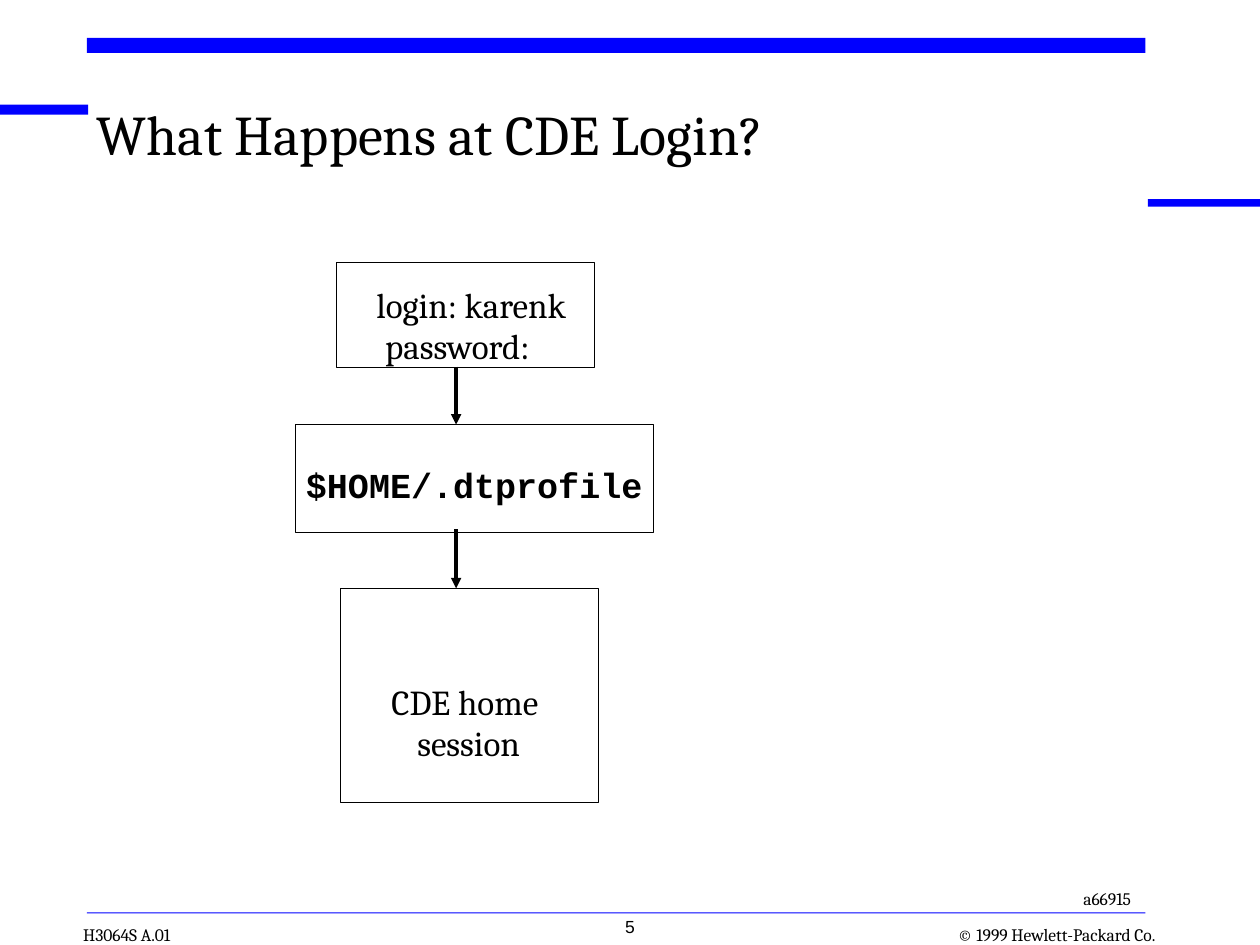
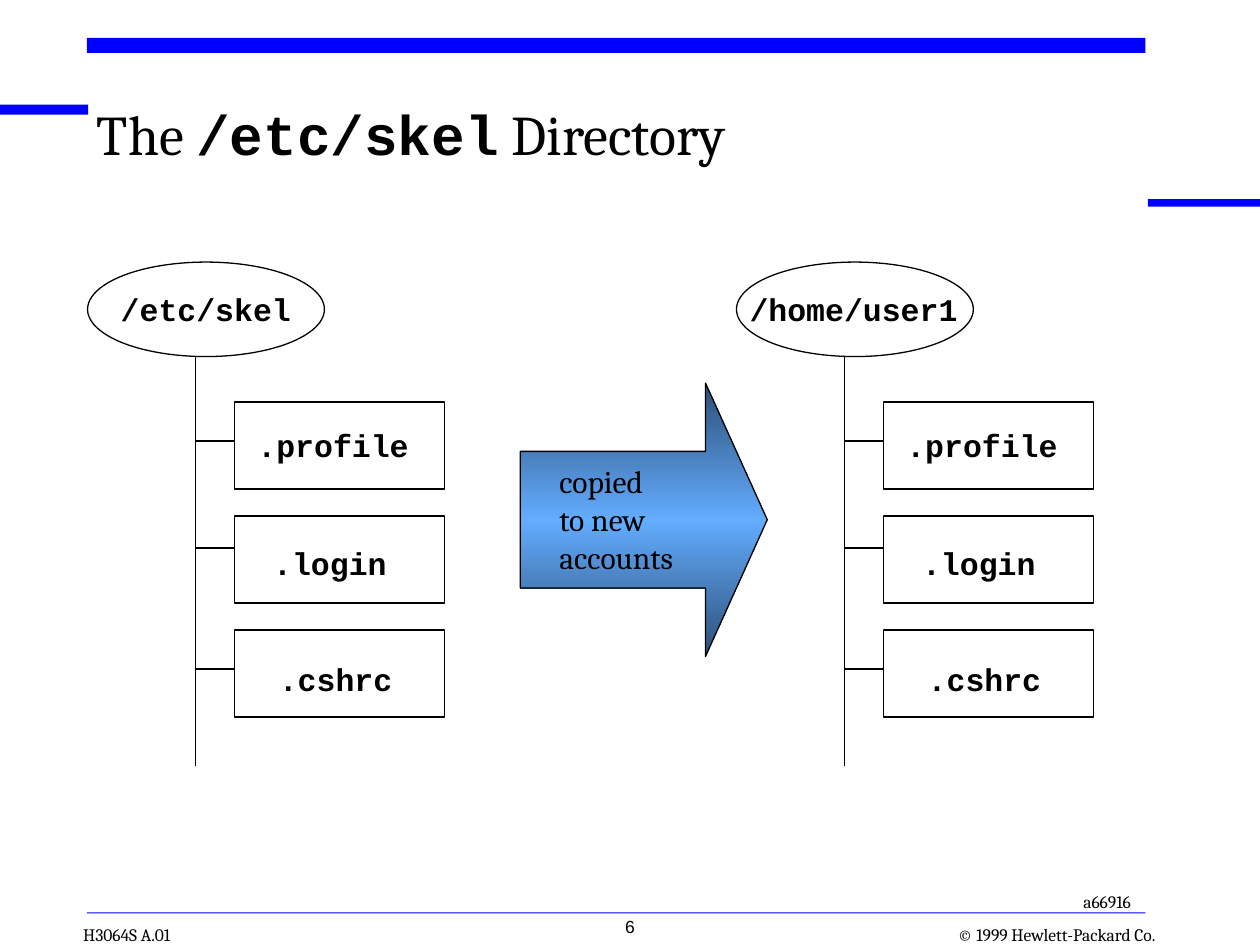
from copy import deepcopy

from lxml import etree
from pptx import Presentation
from pptx.dml.color import RGBColor
from pptx.enum.shapes import MSO_CONNECTOR, MSO_SHAPE
from pptx.enum.text import MSO_ANCHOR, PP_ALIGN
from pptx.oxml.ns import qn
from pptx.util import Inches, Pt

RECT, OVAL, ARROW = MSO_SHAPE.RECTANGLE, MSO_SHAPE.OVAL, MSO_SHAPE.RIGHT_ARROW
STRAIGHT = MSO_CONNECTOR.STRAIGHT
LEFT, CENTER, RIGHT = PP_ALIGN.LEFT, PP_ALIGN.CENTER, PP_ALIGN.RIGHT
TOP, BOTTOM = MSO_ANCHOR.TOP, MSO_ANCHOR.BOTTOM

# Grid of 100 columns by 75 rows
WIDTH, HEIGHT = Inches(10), Inches(7.5)
COL, ROW = WIDTH / 100, HEIGHT / 75

BLACK, BLUE = "000000", "0000FF"
GRADIENT = [(0, "2D4F75"), (0.5, "63ACFF"), (1, "2D4F75")]
SERIF, SANS, MONO = "Cambria", "Arial", "Courier New"
BANDS = [(0, 8.3, 7, 0.8), (6.9, 3, 84, 1.2), (91.1, 15.8, 8.9, 0.6), (6.9, 72.4, 84, 0.1)]

# Directory tree: name, branch row, label offset from trunk, label row, label width
FILES = [(".profile", 35, 3.95, 33.3, 14),
         (".login", 43.5, 5.2, 42.7, 11),
         (".cshrc", 53.1, 5.65, 51.9, 11)]
FILE_TOP, FILE_PITCH = 31.9, 9.05


def color(hex_code):
    return RGBColor.from_string(hex_code)


def place(x, y, w, h):
    return [round(v) for v in (x * COL, y * ROW, w * COL, h * ROW)]


def add_text(slide, box, lines, size=10, font=SERIF, bold=False, align=LEFT,
             anchor=TOP, inset=True, wrap=False, spacing=None):
    """Each line is a string or a list of (text, font, bold) runs."""
    tf = slide.shapes.add_textbox(*place(*box)).text_frame
    tf.word_wrap = wrap
    tf.vertical_anchor = anchor
    tf.margin_left = tf.margin_right = Inches(0.1 if inset else 0)
    tf.margin_top = tf.margin_bottom = Inches(0.05 if inset else 0)
    for i, line in enumerate(lines):
        p = tf.add_paragraph() if i else tf.paragraphs[0]
        p.alignment = align
        p.line_spacing = spacing
        runs = [(line, font, bold)] if isinstance(line, str) else line
        for text, name, weight in runs:
            r = p.add_run()
            r.text = text
            r.font.name, r.font.size, r.font.bold = name, Pt(size), weight
            r.font.color.rgb = color(BLACK)


def add_shape(slide, kind, box, fill=None, line=None):
    s = slide.shapes.add_shape(kind, *place(*box))
    s.shadow.inherit = False
    if fill:
        s.fill.solid()
        s.fill.fore_color.rgb = color(fill)
    else:
        s.fill.background()
    if line:
        s.line.color.rgb = color(BLACK)
        s.line.width = Pt(line)
    else:
        s.line.fill.background()
    return s


def add_line(slide, x1, y1, x2, y2, width=0.75, arrow=False):
    s = slide.shapes.add_connector(STRAIGHT, *place(x1, y1, x2, y2))
    s.line.color.rgb = color(BLACK)
    s.line.width = Pt(width)
    if arrow:
        etree.SubElement(s.line._get_or_add_ln(), qn("a:tailEnd"), type="triangle")
    etree.SubElement(s._element.spPr, qn("a:effectLst"))


def add_gradient_arrow(slide, box):
    s = add_shape(slide, ARROW, box, line=0.75)
    s.adjustments[0], s.adjustments[1] = 0.5, 0.25
    s.fill.gradient()
    s.fill.gradient_angle = 90
    stops = s._element.spPr.find(qn("a:gradFill")).find(qn("a:gsLst"))
    stops.append(deepcopy(stops[0]))
    for stop, (position, hex_code) in zip(s.fill.gradient_stops, GRADIENT):
        stop.position = position
        stop.color.rgb = color(hex_code)


def add_base(prs, title, number, code, code_row):
    """Blank slide with bands, title, footers and page number."""
    slide = prs.slides.add_slide(prs.slide_layouts[6])
    for band in BANDS:
        add_shape(slide, RECT, band, fill=BLUE)
    add_text(slide, (73.5, 73.3, 18.2, 1.7), ["© 1999 Hewlett-Packard Co."],
             align=RIGHT, anchor=BOTTOM, inset=False)
    add_text(slide, (6.6, 73.3, 8.2, 1.7), ["H3064S A.01"], anchor=BOTTOM, inset=False)
    add_text(slide, (7.7, 8.7, 80.7, 6.7), [title], size=32, inset=False,
             wrap=True, spacing=0.85)
    add_text(slide, (85, code_row, 6.7, 2.7), [code])
    add_text(slide, (39.6, 72.2, 20.8, 3.3), [str(number)], font=SANS,
             align=CENTER, wrap=True)
    return slide


def add_tree(slide, trunk, root, root_x, root_w):
    """Directory ellipse with its files hanging from a trunk line."""
    add_shape(slide, OVAL, (trunk - 8.55, 20.8, 18.8, 7.5), line=0.75)
    add_text(slide, (root_x, 22.5, root_w, 4), [root], size=18, font=MONO, bold=True)
    add_line(slide, trunk, 28.3, trunk, 60.8)
    for i, (name, branch, offset, row, w) in enumerate(FILES):
        add_shape(slide, RECT, (trunk + 3.1, FILE_TOP + i * FILE_PITCH, 16.7, 6.9), line=0.75)
        add_line(slide, trunk, branch, trunk + 3.1, branch)
        add_text(slide, (trunk + offset, row, w, 4), [name], size=18, font=MONO, bold=True)


def build_login(prs):
    slide = add_base(prs, "What Happens at CDE Login?", 5, "a66915", 70)
    # Steps of the flow
    for box in [(26.7, 20.85, 20.5, 8.3), (23.45, 33.7, 28.4, 8.55), (27, 46.7, 20.5, 17)]:
        add_shape(slide, RECT, box, line=0.62)
    labels = [("login: karenk", 37.4, 22.5, 17, SERIF),
              ("password:", 36.3, 25.75, 13.4, SERIF),
              ("$HOME/.dtprofile", 37.65, 36.8, 28, MONO),
              ("CDE home", 36.9, 54, 16, SERIF),
              ("session", 37.2, 57.3, 16, SERIF)]
    for text, middle, row, w, font in labels:
        add_text(slide, (middle - w / 2, row, w, 3.3), [text], size=20, font=font,
                 bold=font == MONO, align=CENTER, inset=False)
    for start, end in [(29.1, 33.7), (42, 46.7)]:
        add_line(slide, 36.2, start, 36.2, end, width=2, arrow=True)


def build_skel(prs):
    title = [("The ", SERIF, False), ("/etc/skel", MONO, True), (" Directory", SERIF, False)]
    slide = add_base(prs, title, 6, "a66916", 70.2)
    add_tree(slide, 15.5, "/etc/skel", 8.6, 15.5)
    add_gradient_arrow(slide, (41.3, 30.4, 19.6, 21.7))
    add_text(slide, (43.4, 36.2, 12.5, 10), ["copied", "to new", "accounts"], size=18)
    add_tree(slide, 67, "/home/user1", 58.5, 18.5)


def main():
    prs = Presentation()
    prs.slide_width, prs.slide_height = WIDTH, HEIGHT
    build_login(prs)
    build_skel(prs)
    prs.save("out.pptx")


if __name__ == "__main__":
    main()
